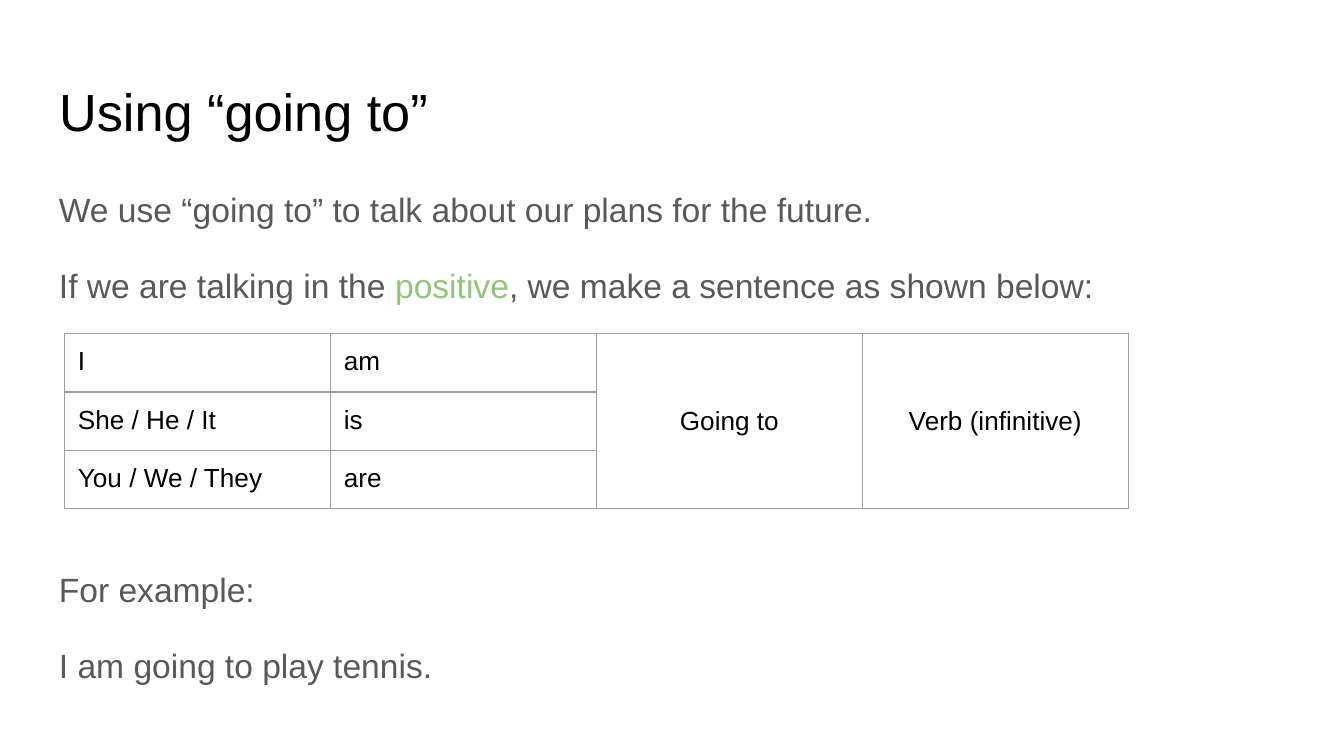
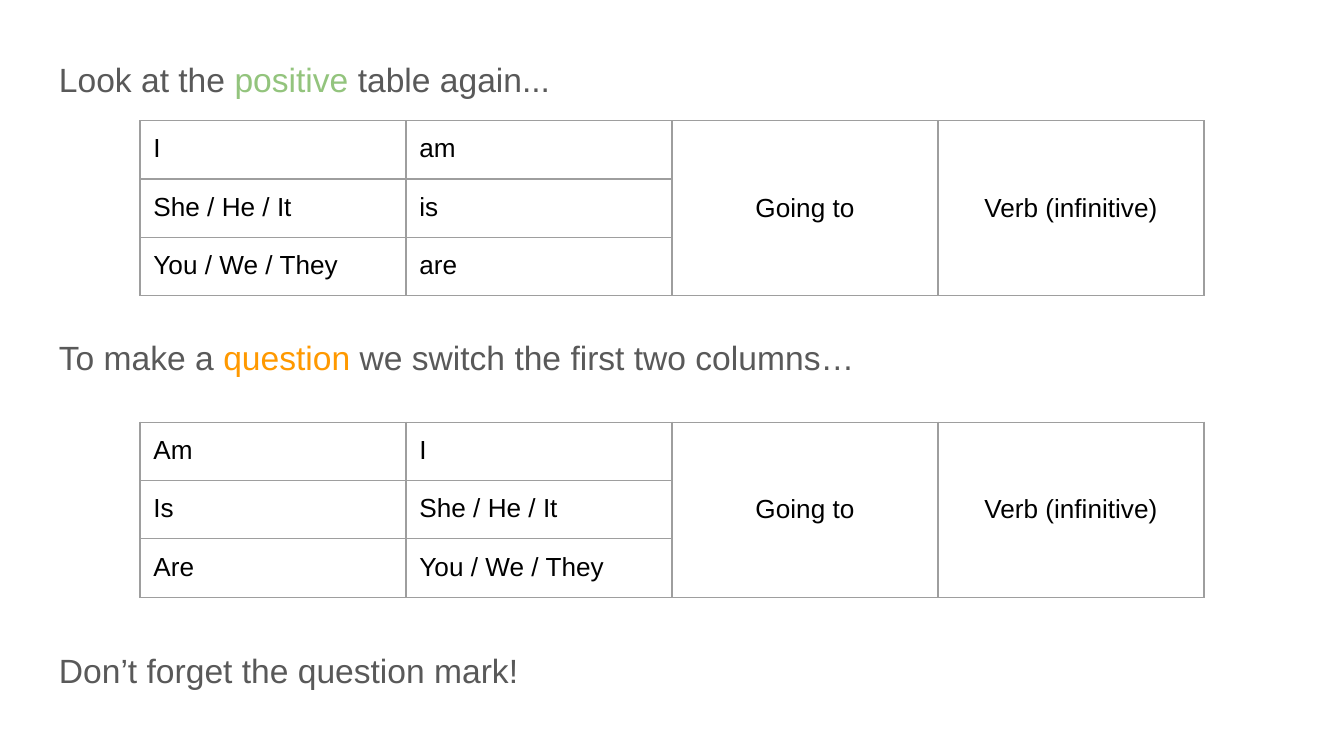
"""Build two grammar slides on the use of "going to"."""
import lxml.etree
import pptx
import pptx.dml.color
import pptx.enum.text
import pptx.oxml.ns
import pptx.util

Pt = pptx.util.Pt
ALIGN = pptx.enum.text.PP_ALIGN
ANCHOR = pptx.enum.text.MSO_ANCHOR
COLORS = {"black": "000000", "gray": "595959", "green": "93C47D",
          "orange": "FF9900", "border": "9E9E9E", "white": "FFFFFF"}
LEFT, WIDTH, INSET = 24.5, 671, 7.2
COL_W, ROW_H = 142.5, 30.2


def write(tf, text, size=18, color="gray", accent=None, accent_color="green",
          align=ALIGN.LEFT, line=1.15, before=0, after=0):
    tf.word_wrap = True
    tf.margin_left = tf.margin_right = tf.margin_top = tf.margin_bottom = Pt(INSET)
    p = tf.add_paragraph() if tf.text else tf.paragraphs[0]
    p.alignment, p.line_spacing = align, line
    p.space_before, p.space_after = Pt(before), Pt(after)
    parts = text.partition(accent) if accent else (text,)
    for part in parts:
        r = p.add_run()
        r.text = part
        r.font.name, r.font.size = "Arial", Pt(size)
        shade = accent_color if part == accent else color
        r.font.color.rgb = pptx.dml.color.RGBColor.from_string(COLORS[shade])


def add_grammar_table(s, left, top, pairs):
    rows = [(*pair, "", "") for pair in pairs]
    rows[0] = (*pairs[0], "Going to", "Verb (infinitive)")
    frame = s.shapes.add_table(3, 4, Pt(left), Pt(top), Pt(4 * COL_W), Pt(3 * ROW_H))
    table = frame.table
    table.first_row = table.horz_banding = False
    for col in table.columns:
        col.width = Pt(COL_W)
    for row in table.rows:
        row.height = Pt(ROW_H)
    for c in (2, 3):
        table.cell(0, c).merge(table.cell(2, c))
    for i, row in enumerate(rows):
        for j, text in enumerate(row):
            cell = table.cell(i, j)
            cell.vertical_anchor = ANCHOR.MIDDLE if j > 1 else ANCHOR.TOP
            tag = pptx.oxml.ns.qn
            for side in ("a:lnL", "a:lnR", "a:lnT", "a:lnB"):
                ln = lxml.etree.SubElement(cell._tc.get_or_add_tcPr(), tag(side), w="9525")
                fill = lxml.etree.SubElement(ln, tag("a:solidFill"))
                lxml.etree.SubElement(fill, tag("a:srgbClr"), val=COLORS["border"])
            cell.fill.background()
            cell.margin_left = cell.margin_right = Pt(INSET)
            cell.margin_top = cell.margin_bottom = Pt(INSET)
            if text:
                write(cell.text_frame, text, size=14, color="black", line=1,
                      align=ALIGN.CENTER if j > 1 else ALIGN.LEFT)


prs = pptx.Presentation()
prs.slide_width, prs.slide_height = Pt(720), Pt(405)
background = prs.slide_master.background.fill
background.solid()
background.fore_color.rgb = pptx.dml.color.RGBColor.from_string(COLORS["white"])

subjects = ["I", "She / He / It", "You / We / They"]
verbs = ["am", "is", "are"]
positive = list(zip(subjects, verbs))
question = [(verb.capitalize(), subject) for subject, verb in positive]

s = prs.slides.add_slide(prs.slide_layouts[5])
title = s.shapes.title
title.left, title.top, title.width, title.height = Pt(LEFT), Pt(35), Pt(WIDTH), Pt(45.4)
title.text_frame.vertical_anchor = ANCHOR.TOP
write(title.text_frame, "Using “going to”", size=28, color="black", line=1)

body = s.shapes.add_textbox(Pt(LEFT), Pt(90.7), Pt(WIDTH), Pt(269.3)).text_frame
write(body, "We use “going to” to talk about our plans for the future.")
write(body, "If we are talking in the positive, we make a sentence as shown below:",
      accent="positive", before=16)
write(body, "For example:", before=138)
write(body, "I am going to play tennis.", before=16)
add_grammar_table(s, 34.5, 178.8, positive)

s = prs.slides.add_slide(prs.slide_layouts[6])
for top, height, text, style in (
    (20.9, 44, "Look at the positive table again...", {"accent": "positive"}),
    (170, 44, "To make a question we switch the first two columns…",
     {"accent": "question", "accent_color": "orange"}),
    (337.7, 36, "Don’t forget the question mark!", {"after": 16}),
):
    sp = s.shapes.add_textbox(Pt(LEFT), Pt(top), Pt(WIDTH), Pt(height))
    write(sp.text_frame, text, **style)
for top, pairs in ((64.6, positive), (226.2, question)):
    add_grammar_table(s, 75, top, pairs)

prs.save("out.pptx")
